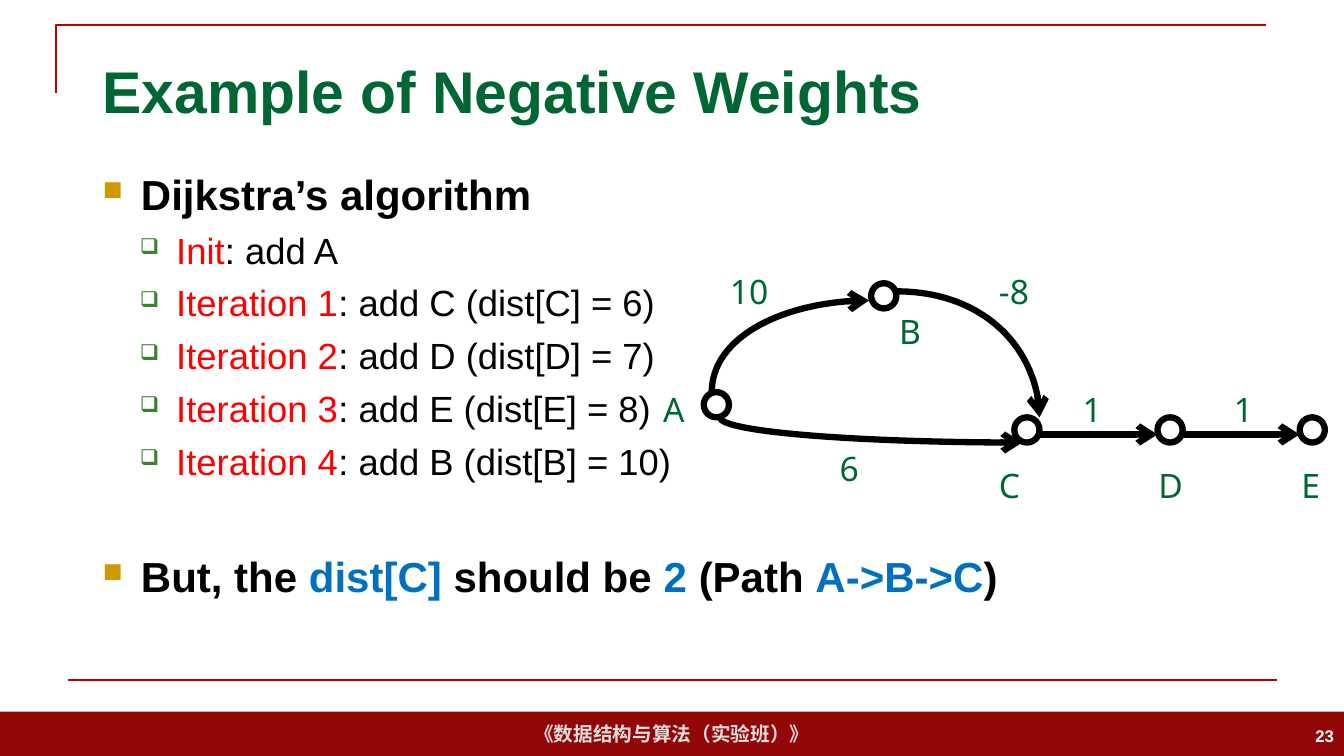
from lxml import etree
from pptx import Presentation
from pptx.dml.color import RGBColor
from pptx.enum.shapes import MSO_CONNECTOR, MSO_SHAPE
from pptx.enum.text import MSO_ANCHOR, PP_ALIGN
from pptx.oxml.ns import qn
from pptx.util import Inches, Pt

STRAIGHT = MSO_CONNECTOR.STRAIGHT
RECT, OVAL = MSO_SHAPE.RECTANGLE, MSO_SHAPE.OVAL
TOP, MIDDLE = MSO_ANCHOR.TOP, MSO_ANCHOR.MIDDLE
LEFT, CENTER, RIGHT = PP_ALIGN.LEFT, PP_ALIGN.CENTER, PP_ALIGN.RIGHT

GREEN, RED, BLUE, BLACK = "006633", "FF0000", "0070C0", "000000"
RULE, BAND = "C00000", "940709"
NODE = 0.25   # diameter of a graph node
KAPPA = 0.55  # Bezier factor of a quarter ellipse


def color(value):
    return RGBColor.from_string(value)


def set_line(s, value, width):
    s.line.color.rgb = color(value)
    s.line.width = Pt(width)


def add_arrowhead(s):
    etree.SubElement(s.line._get_or_add_ln(), qn("a:tailEnd"), type="arrow")


def add_run(p, text, size, value, bold=False, font="Arial"):
    r = p.add_run()
    r.text = text
    r.font.name, r.font.size, r.font.bold = font, Pt(size), bold
    r.font.color.rgb = color(value)


def add_text_box(slide, x, y, w, h, anchor=TOP):
    tf = slide.shapes.add_textbox(Inches(x), Inches(y), Inches(w), Inches(h)).text_frame
    tf.word_wrap = True
    tf.vertical_anchor = anchor
    return tf


def add_line(slide, x1, y1, x2, y2, value, width):
    s = slide.shapes.add_connector(STRAIGHT, Inches(x1), Inches(y1), Inches(x2), Inches(y2))
    set_line(s, value, width)
    etree.SubElement(s._element.spPr, qn("a:effectLst"))
    return s


def add_open_path(slide, points, value, width):
    (x, y), *rest = [(Inches(px), Inches(py)) for px, py in points]
    builder = slide.shapes.build_freeform(x, y)
    builder.add_line_segments(rest, close=False)
    s = builder.convert_to_shape()
    s.shadow.inherit = False
    s.fill.background()
    set_line(s, value, width)
    return s


def add_quarter_arc(slide, start, corner, end):
    """Arrow along a quarter ellipse whose tangents meet at the corner."""
    controls = [tuple(a + KAPPA * (c - a) for a, c in zip(tip, corner)) for tip in (start, end)]
    s = add_open_path(slide, [start, *controls, end], BLACK, 4.5)
    # Turn the three straight segments into one cubic curve
    segments = list(s._element.iter(qn("a:lnTo")))
    outline = segments[0].getparent()
    curve = etree.SubElement(outline, qn("a:cubicBezTo"))
    for segment in segments:
        curve.append(segment[0])
        outline.remove(segment)
    add_arrowhead(s)


def add_frame(slide, x, y, w, h):
    # Corner rule above the title and rule below the body
    add_open_path(slide, [(x, y + 0.67), (x, y), (x + w, y)], RULE, 1.5)
    add_line(slide, x + 0.11, y + h, x + 0.11 + w, y + h, RULE, 1.5)


def add_footer(slide, x, y, w, h):
    s = slide.shapes.add_shape(RECT, Inches(x), Inches(y), Inches(w), Inches(h))
    s.shadow.inherit = False
    s.fill.solid()
    s.fill.fore_color.rgb = color(BAND)
    s.line.fill.background()
    tf = s.text_frame
    tf.word_wrap = False
    tf.vertical_anchor = MIDDLE
    p = tf.paragraphs[0]
    p.alignment = CENTER
    add_run(p, "《数据结构与算法（实验班）》", 14, "DDDDDD", True)
    # Slide number
    p = add_text_box(slide, x + w - 3, y + 0.04, 3, 0.4, MIDDLE).paragraphs[0]
    p.alignment = RIGHT
    add_run(p, "23", 12, "FFFFFF", True)


def add_title(slide, x, y, w, h):
    p = add_text_box(slide, x, y, w, h, MIDDLE).paragraphs[0]
    add_run(p, "Example of Negative Weights", 42, GREEN, True)


def add_bullet(p, char, value, percent, margin, indent):
    pPr = p._p.get_or_add_pPr()
    pPr.set("marL", str(Inches(margin)))
    pPr.set("indent", str(Inches(-indent)))
    bu_clr = etree.SubElement(pPr, qn("a:buClr"))
    etree.SubElement(bu_clr, qn("a:srgbClr"), val=value)
    etree.SubElement(pPr, qn("a:buSzPct"), val=str(percent * 1000))
    etree.SubElement(pPr, qn("a:buChar"), char=char)


def add_body(slide, x, y, w, h):
    # (level, space before, runs)
    steps = [("Init", "add A"), ("Iteration 1", "add C (dist[C] = 6)"),
             ("Iteration 2", "add D (dist[D] = 7)"), ("Iteration 3", "add E (dist[E] = 8)"),
             ("Iteration 4", "add B (dist[B] = 10)")]
    items = [(0, 0, [("Dijkstra’s algorithm", BLACK)])]
    items += [(1, 6.5, [(name, RED), (": " + action, BLACK)]) for name, action in steps]
    items.append((0, 49, [("But, the ", BLACK), ("dist[C]", BLUE), (" should be ", BLACK),
                          ("2", BLUE), (" (Path ", BLACK), ("A->B->C", BLUE), (")", BLACK)]))
    tf = add_text_box(slide, x, y, w, h)
    for i, (level, space, runs) in enumerate(items):
        p = tf.paragraphs[0] if i == 0 else tf.add_paragraph()
        p.level = level
        p.alignment = LEFT
        p.space_before = Pt(space)
        if level == 0:
            add_bullet(p, "■", "CC9900", 65, 0.38, 0.38)
        else:
            add_bullet(p, "❑", "3B812F", 60, 0.73, 0.36)
        for text, value in runs:
            add_run(p, text, 26 if level else 30, value, level == 0)


def add_graph(slide, x, y):
    # Nodes: name -> node corner, label corner
    nodes = {"A": (0.5, 1.25, 0, 1.17), "B": (2.16, 0.17, 2.34, 0.4),
             "C": (3.58, 1.5, 3.33, 1.92), "D": (5, 1.5, 4.91, 1.92),
             "E": (6.41, 1.5, 6.33, 1.92)}
    # Edge weights: text, corner, width
    labels = [("10", 0.66, 0, 0.67), ("-8", 3.33, 0, 0.67), ("6", 1.75, 1.75, 0.75),
              ("1", 4.16, 1.17, 0.5), ("1", 5.66, 1.17, 0.5)]
    for name, (nx, ny, lx, ly) in nodes.items():
        s = slide.shapes.add_shape(OVAL, Inches(x + nx), Inches(y + ny), Inches(NODE), Inches(NODE))
        s.shadow.inherit = False
        s.fill.background()
        set_line(s, BLACK, 4.5)
        labels.append((name, lx, ly, 0.5))

    # Curved edges A-C, A-B, B-C: start, tangent corner, end
    arcs = [((0.66, 1.5), (0.66, 1.75), (3.66, 1.75)),
            ((0.58, 1.25), (0.58, 0.34), (2.14, 0.34)),
            ((2.41, 0.25), (3.83, 0.25), (3.83, 1.5))]
    for arc in arcs:
        add_quarter_arc(slide, *[(x + px, y + py) for px, py in arc])

    # Straight edges C-D, D-E
    for source, target in ("CD", "DE"):
        edge_y = y + nodes[source][1] + 0.17
        s = add_line(slide, x + nodes[source][0] + NODE, edge_y,
                     x + nodes[target][0], edge_y, BLACK, 4.5)
        add_arrowhead(s)

    # Node names and weights
    for text, lx, ly, w in labels:
        p = add_text_box(slide, x + lx, y + ly, w, 0.5).paragraphs[0]
        add_run(p, text, 24, GREEN, font="Noto Sans")


def main():
    prs = Presentation()
    prs.slide_width, prs.slide_height = Inches(13.33), Inches(7.5)
    slide = prs.slides.add_slide(prs.slide_layouts[6])
    add_footer(slide, 0, 7.06, 13.33, 0.44)
    add_frame(slide, 0.56, 0.25, 12, 6.5)
    add_title(slide, 0.92, 0.4, 11.5, 0.99)
    add_body(slide, 0.92, 1.62, 11.5, 5.15)
    add_graph(slide, 6.48, 2.64)
    prs.save("out.pptx")


if __name__ == "__main__":
    main()
